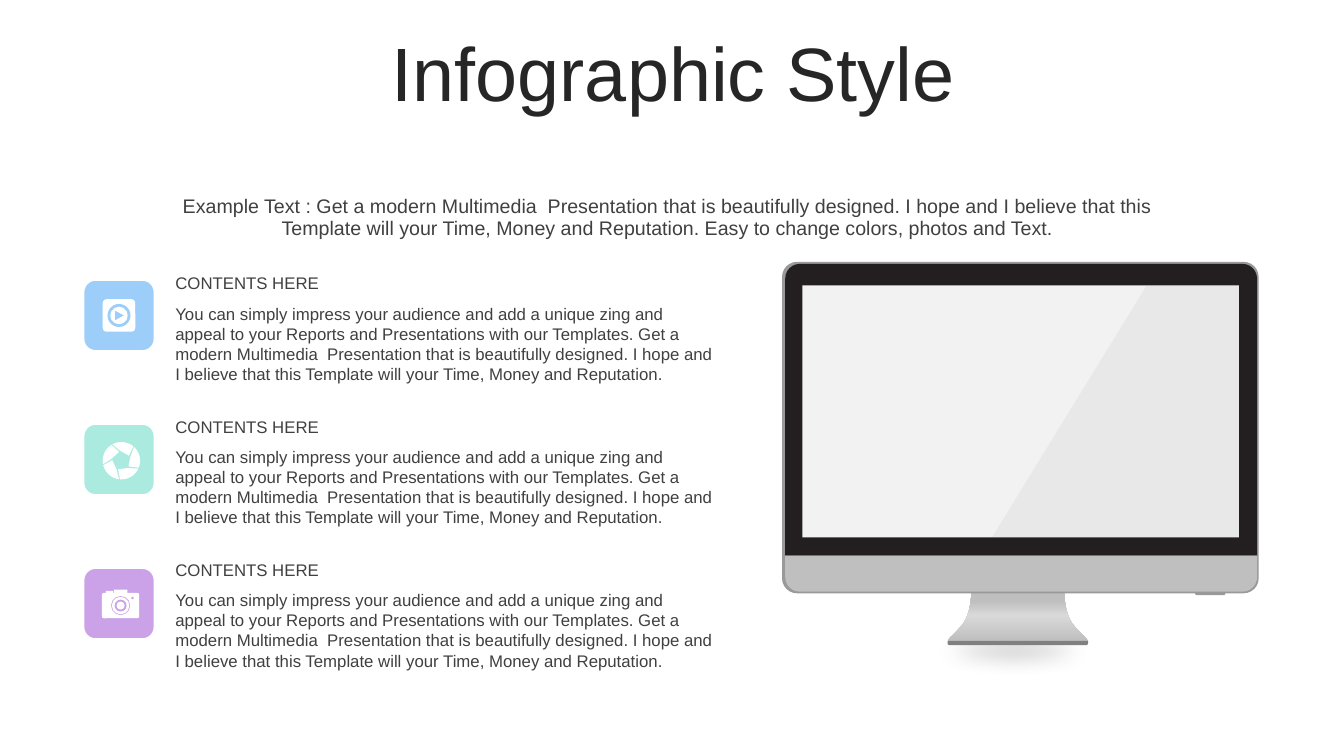
from math import cos, radians, sin

from pptx import Presentation
from pptx.dml.color import RGBColor
from pptx.enum.shapes import MSO_SHAPE
from pptx.enum.text import MSO_ANCHOR, MSO_AUTO_SIZE, PP_ALIGN
from pptx.oxml.ns import qn
from pptx.util import Cm, Pt
from lxml.etree import SubElement

COLORS = {
    "title": "262626", "text": "404040", "white": "FFFFFF",
    "blue": "85C2F8", "mint": "96E5D8", "violet": "BE8BE2",
    "blue detail": "9DCEF9", "violet detail": "CBA2E8",
    "frame": "999999", "bezel": "231F20", "chin": "BFBFBF",
    "screen": "F2F2F2", "base": "808080", "stand light": "D9D9D9",
}
HEADING = "CONTENTS HERE"
BODY = ("You can simply impress your audience and add a unique zing and appeal to your "
        "Reports and Presentations with our Templates. Get a modern Multimedia  Presentation "
        "that is beautifully designed. I hope and I believe that this Template will your "
        "Time, Money and Reputation.")
INTRO = ("Example Text : Get a modern Multimedia  Presentation that is beautifully designed. "
         "I hope and I believe that this Template will your Time, Money and Reputation. "
         "Easy to change colors, photos and Text.")
TILE_LEFT, TILE_TOP, TILE_SIZE, TILE_PITCH = 2.11, 7.06, 1.78, 3.63
TEXT_LEFT, TEXT_TOP, TEXT_WIDTH, TEXT_PITCH = 4.17, 6.76, 14.2, 3.61
STAND_CENTER = 25.65


def paint(shape, color, alpha=100):
    """Give a shape a flat fill without line or shadow."""
    shape.shadow.inherit = False
    shape.line.fill.background()
    shape.fill.solid()
    shape.fill.fore_color.rgb = RGBColor.from_string(COLORS[color])
    if alpha < 100:
        rgb = shape._element.spPr.find(qn("a:solidFill"))[0]
        SubElement(rgb, qn("a:alpha"), val=str(alpha * 1000))
    return shape


def add_preset(slide, kind, box, color, alpha=100, adjust=()):
    """Add a flat preset shape in a box given in centimetres."""
    shape = slide.shapes.add_shape(kind, *map(Cm, box))
    for index, value in enumerate(adjust):
        shape.adjustments[index] = value
    return paint(shape, color, alpha)


def add_disc(slide, x, y, radius, color):
    """Add a disc around a centre."""
    box = (x - radius, y - radius, 2 * radius, 2 * radius)
    return add_preset(slide, MSO_SHAPE.OVAL, box, color)


def add_outline(slide, contours, color, alpha=100):
    """Add a closed freeform from lists of points in centimetres."""
    contours = [[(Cm(x), Cm(y)) for x, y in contour] for contour in contours]
    builder = slide.shapes.build_freeform(*contours[0][0])
    for index, contour in enumerate(contours):
        if index:
            builder.move_to(*contour[0])
        builder.add_line_segments(contour[1:], close=True)
    return paint(builder.convert_to_shape(), color, alpha)


def curve(start, first, second, end, steps=12):
    """Return points along a cubic curve."""
    points = []
    for step in range(steps + 1):
        t = step / steps
        weights = ((1 - t) ** 3, 3 * t * (1 - t) ** 2, 3 * t * t * (1 - t), t ** 3)
        points.append(tuple(sum(w * p[axis] for w, p in zip(weights, (start, first, second, end)))
                            for axis in (0, 1)))
    return points


def write(frame, words, size, color, anchor=MSO_ANCHOR.TOP, centered=False):
    """Write one formatted paragraph into a text frame."""
    frame.word_wrap = True
    frame.auto_size = MSO_AUTO_SIZE.NONE
    frame.vertical_anchor = anchor
    paragraph = frame.paragraphs[0]
    paragraph.alignment = PP_ALIGN.CENTER if centered else PP_ALIGN.LEFT
    paragraph.line_spacing = 0.9 if centered else 1.0
    run = paragraph.add_run()
    run.text = words
    run.font.size = Pt(size)
    run.font.name = "Arial"
    run.font.color.rgb = RGBColor.from_string(COLORS[color])


def add_label(slide, box, words, size=12, **layout):
    """Add a text box."""
    write(slide.shapes.add_textbox(*map(Cm, box)).text_frame, words, size, "text", **layout)


def add_title(slide):
    """Place and fill the title placeholder."""
    title = slide.shapes.title
    title.left, title.top, title.width, title.height = map(Cm, (0.89, 0.94, 32.16, 2.01))
    write(title.text_frame, "Infographic Style", 54, "title", MSO_ANCHOR.MIDDLE, True)


def add_stand(slide):
    """Draw the monitor's shadow, stand and base."""
    glow = add_preset(slide, MSO_SHAPE.OVAL, (22.6, 15.7, 5.9, 1.4), "base", 40)
    effects = glow._element.spPr.find(qn("a:effectLst"))
    SubElement(effects, qn("a:softEdge"), rad=str(Cm(0.5)))

    side = curve((1.17, 14.94), (1.17, 14.94), (1.17, 15.49), (1.42, 15.77))
    side += curve((1.42, 15.77), (1.6, 15.98), (1.77, 16.1), (1.77, 16.15))
    right = [(STAND_CENTER + x, y) for x, y in side]
    left = [(STAND_CENTER - x, y) for x, y in reversed(side)]
    stand = add_outline(slide, [right + left], "chin")
    stand.fill.gradient()
    stand.fill.gradient_angle = 90
    stops = stand._element.spPr.find(qn("a:gradFill")).find(qn("a:gsLst"))
    for stop in list(stops):
        stops.remove(stop)
    for percent, color in ((0, "chin"), (53, "stand light"), (83, "chin"), (100, "chin")):
        stop = SubElement(stops, qn("a:gs"), pos=str(percent * 1000))
        SubElement(stop, qn("a:srgbClr"), val=COLORS[color])
    add_preset(slide, MSO_SHAPE.ROUND_2_SAME_RECTANGLE,
               (STAND_CENTER - 1.77, 16.15, 3.54, 0.11), "base", adjust=(0, 0.5))


def add_monitor(slide):
    """Draw the monitor from back to front."""
    add_stand(slide)
    two_round = MSO_SHAPE.ROUND_2_SAME_RECTANGLE
    add_preset(slide, MSO_SHAPE.ROUNDED_RECTANGLE, (19.71, 6.6, 12.01, 8.35), "frame",
               adjust=(0.045,))
    add_preset(slide, two_round, (30.12, 14.91, 0.76, 0.09), "frame", adjust=(0, 0.5))
    add_preset(slide, two_round, (19.79, 6.65, 11.89, 7.35), "bezel", adjust=(0.05, 0))
    add_preset(slide, two_round, (19.79, 14, 11.89, 0.91), "chin", adjust=(0, 0.4))
    add_preset(slide, MSO_SHAPE.RECTANGLE, (20.22, 7.19, 11, 6.35), "screen")
    glare = [(28.9, 7.19), (31.22, 7.19), (31.22, 13.54), (25, 13.54)]
    add_outline(slide, [glare], "frame", 10)


def add_player(slide, top):
    """Draw the play icon on its tile."""
    add_preset(slide, MSO_SHAPE.ROUNDED_RECTANGLE, (2.59, top + 0.48, 0.82, 0.82), "white",
               adjust=(0.12,))
    add_disc(slide, 3, top + 0.89, 0.29, "blue detail")
    add_disc(slide, 3, top + 0.89, 0.22, "white")
    arrow = [(2.9, top + 0.77), (3.12, top + 0.89), (2.9, top + 1.01)]
    add_outline(slide, [arrow], "blue detail")


def add_aperture(slide, top):
    """Draw five equal aperture blades on their tile."""
    edge = [(0.25, 49)] + [(0.47, angle) for angle in range(26, 96, 3)] + [(0.23, 112)]
    blades = [[(3.06 + radius * cos(radians(angle + turn)),
                top + 0.92 + radius * sin(radians(angle + turn))) for radius, angle in edge]
              for turn in range(143, 143 + 360, 72)]
    add_outline(slide, blades, "white")


def add_camera(slide, top):
    """Draw the camera icon on its tile."""
    add_preset(slide, MSO_SHAPE.ROUNDED_RECTANGLE, (2.57, top + 0.62, 0.94, 0.64), "white",
               adjust=(0.08,))
    add_preset(slide, MSO_SHAPE.RECTANGLE, (2.87, top + 0.54, 0.34, 0.1), "white")
    add_preset(slide, MSO_SHAPE.RECTANGLE, (2.67, top + 0.57, 0.18, 0.08), "white")
    rings = ((0.24, "violet detail"), (0.22, "white"), (0.15, "violet detail"), (0.1, "white"))
    for radius, color in rings:
        add_disc(slide, 3.04, top + 0.94, radius, color)
    add_disc(slide, 3.34, top + 0.75, 0.03, "violet detail")


def add_entry(slide, index, color, add_icon):
    """Add one tile with its icon, heading and body."""
    tile_top = TILE_TOP + index * TILE_PITCH
    tile = add_preset(slide, MSO_SHAPE.ROUNDED_RECTANGLE,
                      (TILE_LEFT, tile_top, TILE_SIZE, TILE_SIZE), color, 80)
    tile.line.color.rgb = RGBColor.from_string(COLORS["white"])
    tile.line.width = Pt(1)
    add_icon(slide, tile_top)
    text_top = TEXT_TOP + index * TEXT_PITCH
    add_label(slide, (TEXT_LEFT, text_top, TEXT_WIDTH, 0.76), HEADING)
    add_label(slide, (TEXT_LEFT, text_top + 0.76, TEXT_WIDTH, 2.31), BODY)


def main():
    """Build and save the slide."""
    deck = Presentation()
    deck.slide_width, deck.slide_height = Cm(33.87), Cm(19.05)
    slide = deck.slides.add_slide(deck.slide_layouts[5])
    add_monitor(slide)
    add_title(slide)
    add_label(slide, (3.3, 4.6, 27.05, 1.8), INTRO, 14, anchor=MSO_ANCHOR.MIDDLE, centered=True)
    entries = (("blue", add_player), ("mint", add_aperture), ("violet", add_camera))
    for index, (color, add_icon) in enumerate(entries):
        add_entry(slide, index, color, add_icon)
    deck.save("out.pptx")


if __name__ == "__main__":
    main()
